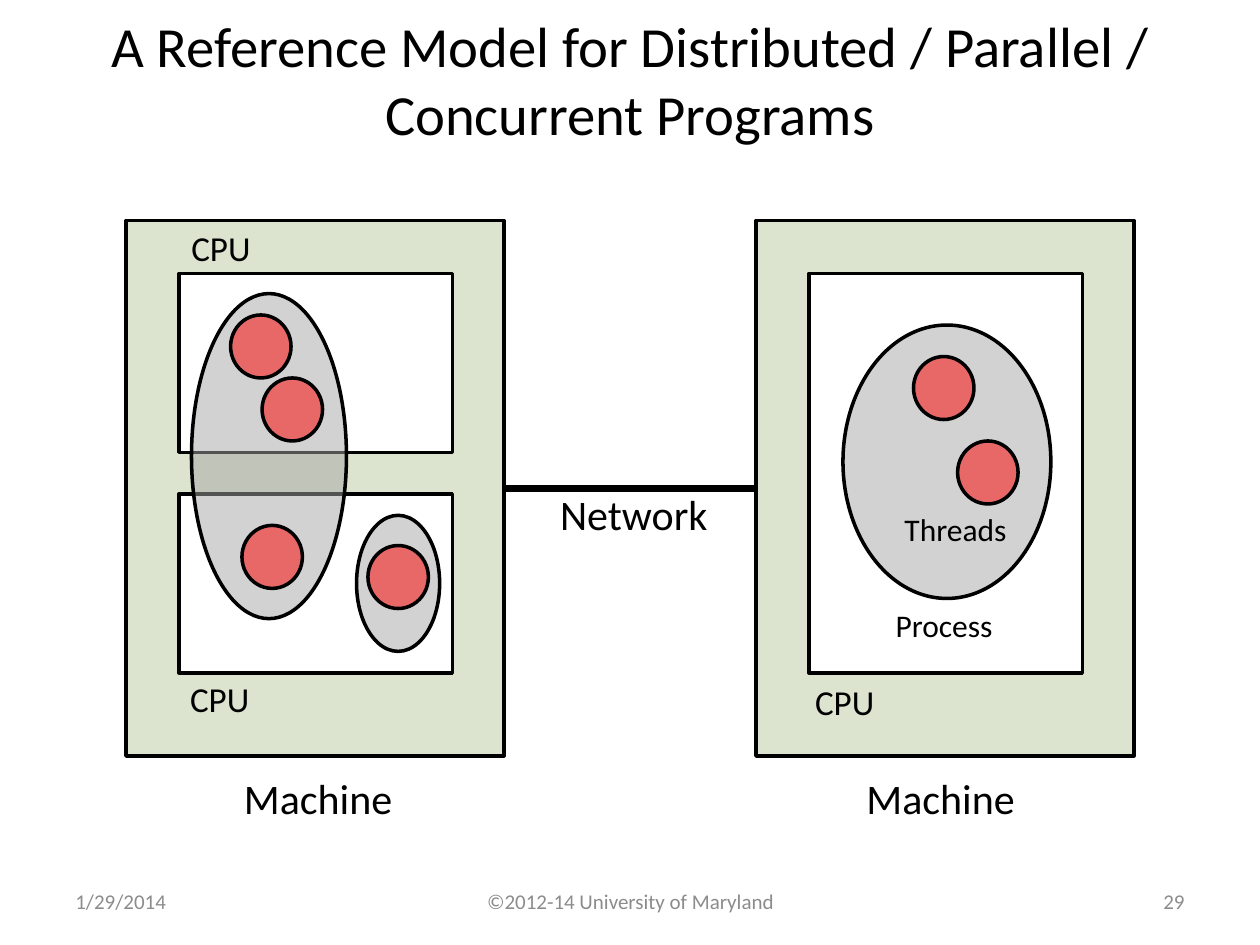
from lxml.etree import SubElement
from pptx import Presentation
from pptx.dml.color import RGBColor
from pptx.enum.shapes import MSO_CONNECTOR, MSO_SHAPE
from pptx.enum.text import MSO_ANCHOR, PP_ALIGN
from pptx.oxml.ns import qn
from pptx.util import Inches, Pt

COLORS = {
    "black": "000000",
    "white": "FFFFFF",
    "footer": "8C8C8C",
    "machine": "77933C",
    "process": "A6A6A6",
    "thread": "FF0000",
}
LEFT, CENTER, RIGHT = PP_ALIGN.LEFT, PP_ALIGN.CENTER, PP_ALIGN.RIGHT
TOP, MIDDLE = MSO_ANCHOR.TOP, MSO_ANCHOR.MIDDLE


def rgb(name):
    return RGBColor.from_string(COLORS[name])


def add_text(s, text, box, size, align=LEFT, anchor=TOP, wrap=False, color="black"):
    sp = s.shapes.add_textbox(*map(Inches, box))
    tf = sp.text_frame
    tf.word_wrap = wrap
    tf.vertical_anchor = anchor
    p = tf.paragraphs[0]
    p.alignment = align
    r = p.add_run()
    r.text = text
    for name, value in {"name": "Calibri", "size": Pt(size)}.items():
        setattr(r.font, name, value)
    r.font.color.rgb = rgb(color)


def add_outlined(s, kind, box, color, opacity=100):
    sp = s.shapes.add_shape(kind, *map(Inches, box))
    sp.shadow.inherit = False
    sp.fill.solid()
    sp.fill.fore_color.rgb = rgb(color)
    if opacity < 100:
        clr = sp.fill._xPr.find(qn("a:solidFill"))[0]
        SubElement(clr, qn("a:alpha")).set("val", str(opacity * 1000))
    sp.line.color.rgb = rgb("black")
    sp.line.width = Pt(2)
    return sp


def add_machine(s, x):
    return add_outlined(s, MSO_SHAPE.RECTANGLE, (x, 1.75, 3, 4.25), "machine", 25)


def add_cpu(s, x, y, height):
    add_outlined(s, MSO_SHAPE.RECTANGLE, (x, y, 2.17, height), "white")


def add_process(s, box, threads):
    add_outlined(s, MSO_SHAPE.OVAL, box, "process", 50)
    for x, y in threads:
        add_outlined(s, MSO_SHAPE.OVAL, (x, y, 0.48, 0.5), "thread", 50)


def add_network(s, left, right):
    line = s.shapes.add_connector(MSO_CONNECTOR.STRAIGHT, 0, 0, 0, 0)
    line.begin_connect(left, 3)
    line.end_connect(right, 1)
    line.line.color.rgb = rgb("black")
    line.line.width = Pt(4)
    SubElement(line._element.spPr, qn("a:effectLst"))


def main():
    prs = Presentation()
    prs.slide_width, prs.slide_height = Inches(10), Inches(7.5)
    s = prs.slides.add_slide(prs.slide_layouts[6])

    # Title
    add_text(s, "A Reference Model for Distributed / Parallel / Concurrent Programs",
             (0, 0, 10, 1.25), 32.4, CENTER, MIDDLE, True)

    # Machines, their CPUs and the network between them
    left, right = [add_machine(s, x) for x in (1, 6)]
    for x, y, height in [(1.42, 2.17, 1.42), (1.42, 3.92, 1.42), (6.42, 2.17, 3.17)]:
        add_cpu(s, x, y, height)
    add_network(s, left, right)

    # Processes with their threads
    add_process(s, (6.69, 2.58, 1.65, 2.17), [(7.25, 2.83), (7.6, 3.5)])
    add_process(s, (1.52, 2.33, 1.23, 2.58), [(1.83, 2.5), (2.08, 3), (1.92, 4.17)])
    add_process(s, (2.83, 4.09, 0.66, 1.08), [(2.92, 4.33)])

    # Labels
    for x, y in [(1.42, 1.75), (1.41, 5.33), (6.37, 5.35)]:
        add_text(s, "CPU", (x, y, 0.68, 0.44), 20)
    for x in (1.83, 6.77):
        add_text(s, "Machine", (x, 6.08, 1.39, 0.5), 24, CENTER)
    add_text(s, "Network", (4.34, 3.83, 1.38, 0.5), 24, CENTER)
    add_text(s, "Process", (7.01, 4.76, 0.98, 0.4), 18)
    add_text(s, "Threads", (7.08, 4, 1.02, 0.4), 18)

    # Footer
    for text, x, width, align in [
        ("1/29/2014", 0.5, 2.33, LEFT),
        ("©2012-14 University of Maryland", 3.42, 3.17, CENTER),
        ("29", 7.17, 2.33, RIGHT),
    ]:
        add_text(s, text, (x, 6.95, width, 0.4), 12, align, MIDDLE, True, "footer")

    prs.save("out.pptx")


if __name__ == "__main__":
    main()
